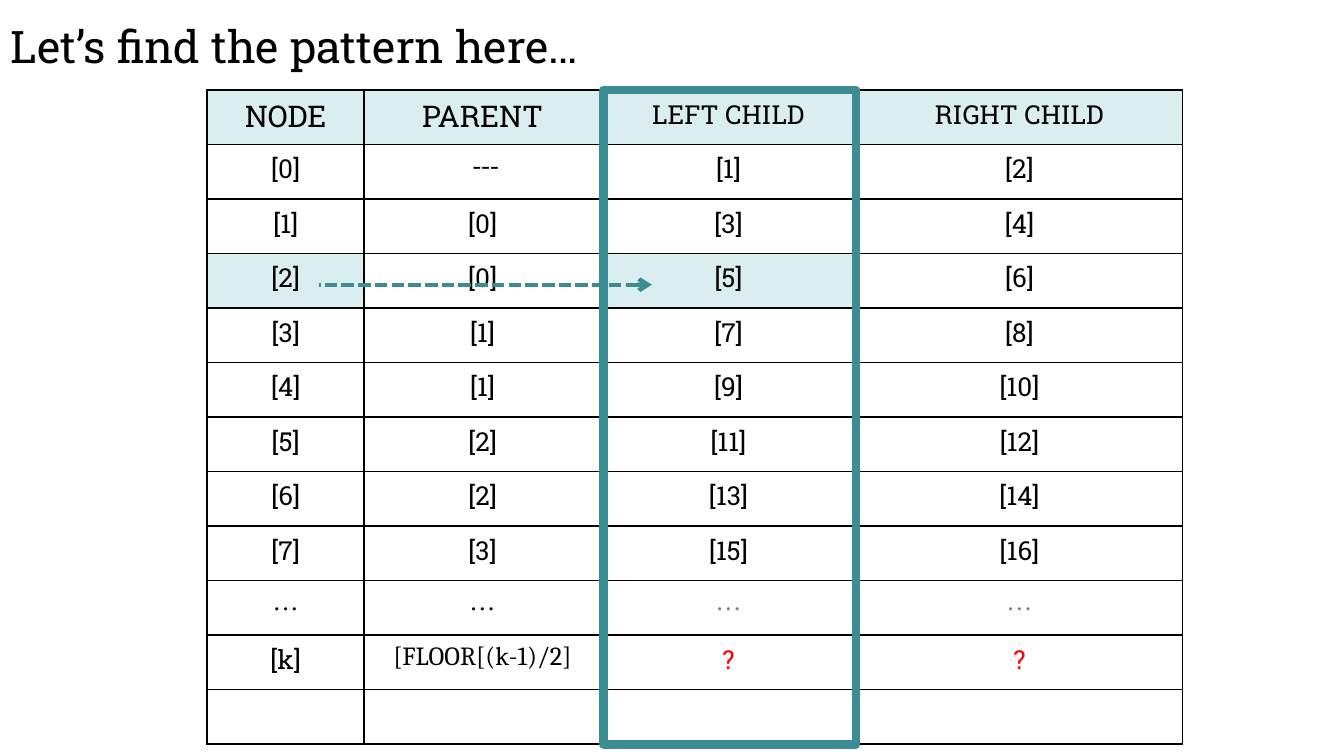
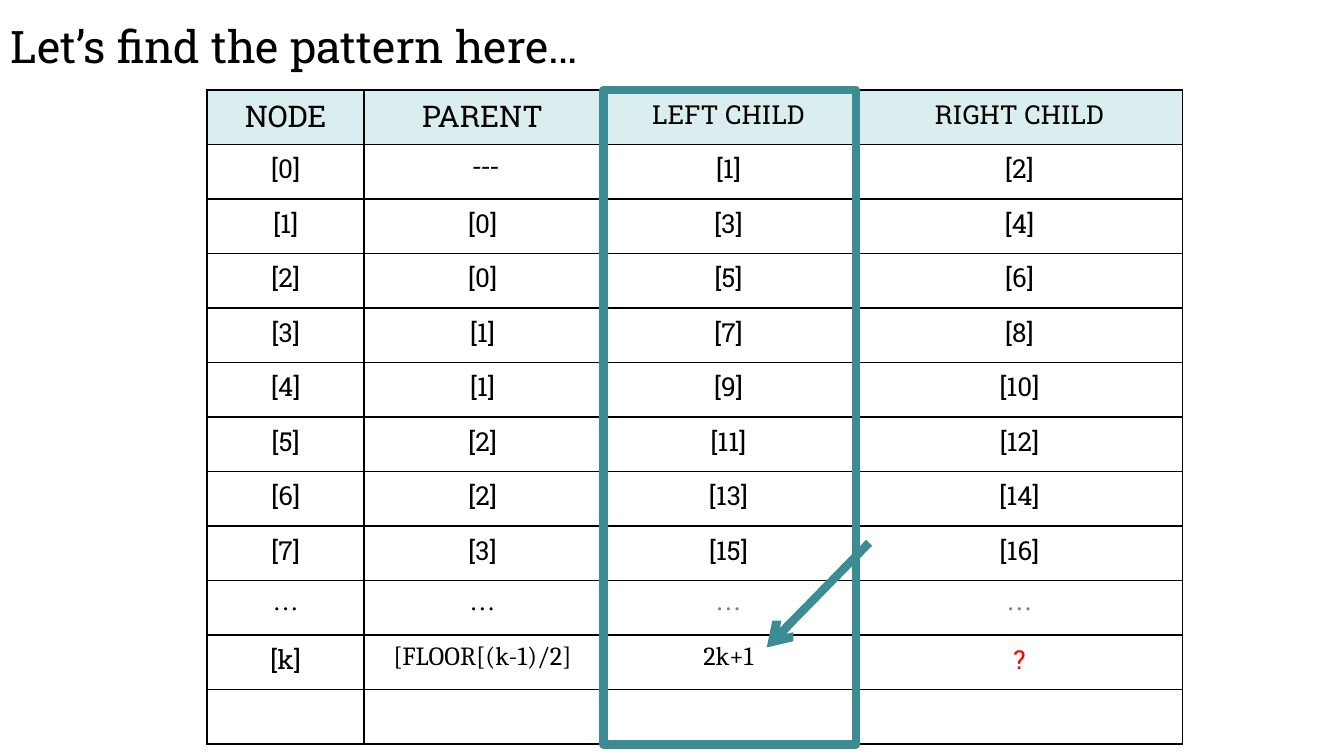
from dataclasses import dataclass
from typing import Any

from lxml.etree import SubElement
from pptx import Presentation
from pptx.dml.color import RGBColor
from pptx.enum.dml import MSO_LINE
from pptx.enum.shapes import MSO_CONNECTOR, MSO_SHAPE
from pptx.enum.text import MSO_AUTO_SIZE, PP_ALIGN
from pptx.oxml import parse_xml
from pptx.oxml.ns import nsdecls, qn
from pptx.slide import Slide
from pptx.table import _Cell
from pptx.util import Inches, Pt

BLACK = RGBColor(0x00, 0x00, 0x00)
GRAY = RGBColor(0x7F, 0x7F, 0x7F)
RED = RGBColor(0xFF, 0x00, 0x00)
TEAL = RGBColor(0x3C, 0x8C, 0x93)
PALE_TEAL = RGBColor(0xDA, 0xED, 0xEF)

SLAB = "Roboto Slab"
TIMES = "Times New Roman"
CAMBRIA = "Cambria"

SLIDE_WIDTH = 10
SLIDE_HEIGHT = SLIDE_WIDTH * 9 / 16
TABLE_LEFT, TABLE_TOP, TABLE_HEIGHT = 1.54, 0.67, 4.87
COLUMN_WIDTHS = (1.17, 1.76, 1.9, 2.43)
ROW_COUNT = 12
ROW_HEIGHT = TABLE_HEIGHT / ROW_COUNT
LEFT_CHILD = 2
FRAME_INSET = 0.02
TITLE = "Let’s find the pattern here…"


@dataclass(frozen=True)
class Entry:
    """Text of one table cell and how it looks."""
    text: str
    name: str = SLAB
    color: RGBColor = BLACK
    size: int = 14


@dataclass(frozen=True)
class Arrow:
    """Connector between two (column, row) points; the point sits at one end."""
    start: tuple[float, float]
    end: tuple[float, float]
    width: float
    point: str
    dash: MSO_LINE | None = None


@dataclass(frozen=True)
class PatternSlide:
    """What changes from one slide to the next."""
    left_formula: Entry
    arrow: Arrow
    highlights: frozenset[tuple[int, int]] = frozenset()


UNKNOWN = Entry("?", color=RED)
SLIDES = (
    PatternSlide(UNKNOWN,
                 Arrow((2.2, 3.57), (0.71, 3.57), 2.25, "headEnd", MSO_LINE.SQUARE_DOT),
                 frozenset({(3, 0), (3, LEFT_CHILD)})),
    PatternSlide(Entry("2k+1", CAMBRIA),
                 Arrow((3.04, 8.3), (2.65, 10.22), 4.5, "tailEnd")),
)


def apply_format(target: Any, values: dict[str, Any]) -> None:
    """Set each named attribute on the target."""
    for name, value in values.items():
        setattr(target, name, value)


def grid_x(column: float) -> int:
    """Horizontal place of a column position, fractions included."""
    whole = int(column)
    part = (column - whole) * COLUMN_WIDTHS[whole] if column > whole else 0
    return Inches(TABLE_LEFT + sum(COLUMN_WIDTHS[:whole]) + part)


def grid_y(row: float) -> int:
    """Vertical place of a row position, fractions included."""
    return Inches(TABLE_TOP + row * ROW_HEIGHT)


def node_row(node: int) -> list[Entry]:
    """Node, parent and both children of one heap index."""
    parent = Entry(f"[{(node - 1) // 2}]") if node else Entry(" ---", TIMES)
    return [Entry(f"[{node}]"), parent,
            Entry(f"[{2 * node + 1}]"), Entry(f"[{2 * node + 2}]")]


def table_rows(left_formula: Entry) -> list[list[Entry]]:
    """All rows of the heap table, header first."""
    header = [Entry("NODE", size=16), Entry("PARENT", size=16),
              Entry("LEFT CHILD"), Entry("RIGHT CHILD")]
    dots = [Entry("…", TIMES, color) for color in (BLACK, BLACK, GRAY, GRAY)]
    general = [Entry("[k]"), Entry("[FLOOR[(k-1)/2]", CAMBRIA), left_formula, UNKNOWN]
    blank = [Entry("")] * len(COLUMN_WIDTHS)
    return [header, *map(node_row, range(8)), dots, general, blank]


def add_borders(cell: _Cell) -> None:
    """Draw a thin black line on all four sides of a cell."""
    properties = cell._tc.get_or_add_tcPr()
    for position, side in enumerate(("lnL", "lnR", "lnT", "lnB")):
        properties.insert(position, parse_xml(
            f'<a:{side} {nsdecls("a")} w="{Pt(1)}"><a:solidFill>'
            f'<a:srgbClr val="{BLACK}"/></a:solidFill></a:{side}>'))


def fill_cell(cell: _Cell, entry: Entry, shaded: bool) -> None:
    """Write an entry into a cell and style the cell."""
    paragraph = cell.text_frame.paragraphs[0]
    paragraph.alignment = PP_ALIGN.CENTER
    if entry.text:
        run = paragraph.add_run()
        run.text = entry.text
        apply_format(run.font, {"name": entry.name, "size": Pt(entry.size), "bold": False})
        run.font.color.rgb = entry.color
    if shaded:
        cell.fill.solid()
        cell.fill.fore_color.rgb = PALE_TEAL
    else:
        cell.fill.background()
    add_borders(cell)


def add_heap_table(slide: Slide, content: PatternSlide) -> None:
    """Add the table of nodes, parents and children."""
    table = slide.shapes.add_table(
        ROW_COUNT, len(COLUMN_WIDTHS), grid_x(0), grid_y(0),
        Inches(sum(COLUMN_WIDTHS)), Inches(TABLE_HEIGHT)).table
    apply_format(table, {"first_row": False, "horz_banding": False})
    for column, width in zip(table.columns, COLUMN_WIDTHS):
        column.width = Inches(width)
    for row_index, entries in enumerate(table_rows(content.left_formula)):
        table.rows[row_index].height = Inches(ROW_HEIGHT)
        for column_index, entry in enumerate(entries):
            shaded = row_index == 0 or (row_index, column_index) in content.highlights
            fill_cell(table.cell(row_index, column_index), entry, shaded)


def add_title(slide: Slide) -> None:
    """Add the slide title."""
    shape = slide.shapes.add_textbox(Inches(-0.02), Inches(0.09), Inches(4.51), Inches(0.5))
    apply_format(shape.text_frame, {"word_wrap": False,
                                    "auto_size": MSO_AUTO_SIZE.SHAPE_TO_FIT_TEXT})
    run = shape.text_frame.paragraphs[0].add_run()
    run.text = TITLE
    apply_format(run.font, {"name": SLAB, "size": Pt(24)})
    run.font.color.rgb = BLACK


def add_column_frame(slide: Slide, column: int) -> None:
    """Outline a whole table column."""
    left = grid_x(column) + Inches(FRAME_INSET)
    shape = slide.shapes.add_shape(MSO_SHAPE.RECTANGLE, left, grid_y(0),
                                   grid_x(column + 1) - left, Inches(TABLE_HEIGHT))
    shape.shadow.inherit = False
    shape.fill.background()
    shape.line.color.rgb = TEAL
    shape.line.width = Pt(4.5)


def add_arrow(slide: Slide, arrow: Arrow) -> None:
    """Add an open-headed arrow between two grid points."""
    connector = slide.shapes.add_connector(
        MSO_CONNECTOR.STRAIGHT, grid_x(arrow.start[0]), grid_y(arrow.start[1]),
        grid_x(arrow.end[0]), grid_y(arrow.end[1]))
    connector.line.color.rgb = TEAL
    apply_format(connector.line, {"width": Pt(arrow.width), "dash_style": arrow.dash})
    SubElement(connector.line._get_or_add_ln(), qn(f"a:{arrow.point}"), type="arrow")
    SubElement(connector._element.spPr, qn("a:effectLst"))


def build() -> None:
    """Build and save the presentation."""
    presentation = Presentation()
    apply_format(presentation, {"slide_width": Inches(SLIDE_WIDTH),
                                "slide_height": Inches(SLIDE_HEIGHT)})
    for content in SLIDES:
        slide = presentation.slides.add_slide(presentation.slide_layouts[6])
        add_heap_table(slide, content)
        add_title(slide)
        add_column_frame(slide, LEFT_CHILD)
        add_arrow(slide, content.arrow)
    presentation.save("out.pptx")


build()
